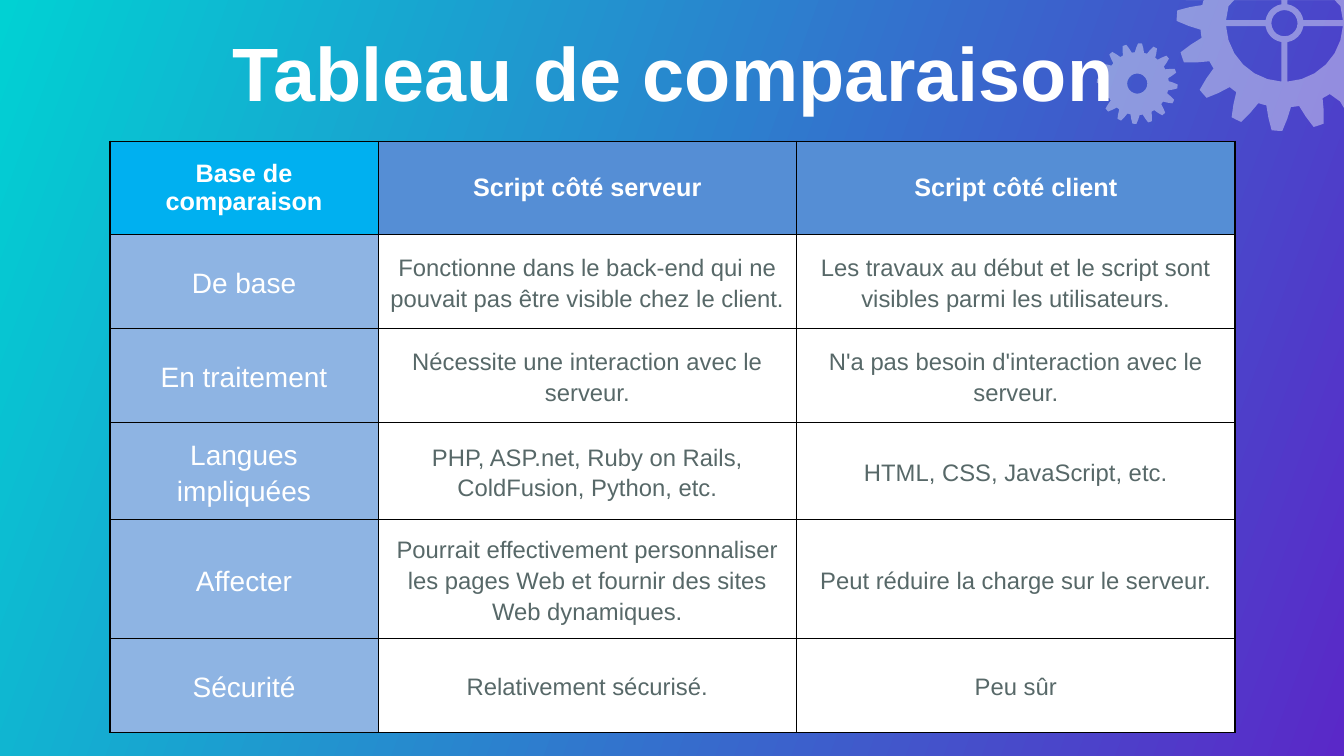
from math import cos, hypot, pi, radians, sin

from lxml import etree
from pptx import Presentation
from pptx.dml.color import RGBColor
from pptx.enum.text import MSO_ANCHOR, PP_ALIGN
from pptx.oxml.ns import qn
from pptx.util import Inches, Pt

COLORS = {
    "gradient_start": "01D1D3",
    "gradient_end": "5A28C8",
    "white": "FFFFFF",
    "border": "000000",
    "corner": "00B0F0",
    "header": "558ED5",
    "criterion": "8EB4E3",
    "body_text": "576868",
}
FONT = "Arial"
SLIDE_WIDTH, SLIDE_HEIGHT = 13.33, 7.5
TEETH = 16
TOOTH_PROFILE = [1, 1, 0.89, 0.78, 0.78, 0.78, 0.89, 1]

COLUMN_WIDTHS = [2.66, 4.15, 4.35]
ROW_HEIGHT = 0.93
COMPARISON = [
    ("Base de comparaison", "Script côté serveur", "Script côté client"),
    ("De base",
     "Fonctionne dans le back-end qui ne pouvait pas être visible chez le client.",
     "Les travaux au début et le script sont visibles parmi les utilisateurs."),
    ("En traitement",
     "Nécessite une interaction avec le serveur.",
     "N'a pas besoin d'interaction avec le serveur."),
    ("Langues impliquées",
     "PHP, ASP.net, Ruby on Rails, ColdFusion, Python, etc.",
     "HTML, CSS, JavaScript, etc."),
    ("Affecter",
     "Pourrait effectivement personnaliser les pages Web et fournir des sites "
     "Web dynamiques.",
     "Peut réduire la charge sur le serveur."),
    ("Sécurité", "Relativement sécurisé.", "Peu sûr"),
]


def rgb(name):
    return RGBColor.from_string(COLORS[name])


def style_paragraph(paragraph, size, color, bold=False):
    paragraph.alignment = PP_ALIGN.CENTER
    for run in paragraph.runs:
        run.font.name = FONT
        run.font.size = Pt(size)
        run.font.bold = bold
        run.font.color.rgb = rgb(color)


def paint_background(slide):
    fill = slide.background.fill
    fill.gradient()
    fill.gradient_angle = 340
    for stop, name in zip(fill.gradient_stops, ("gradient_start", "gradient_end")):
        stop.color.rgb = rgb(name)


# Gear outlines, in inches around the gear centre
def arc(radius, start=0, end=2 * pi, steps=20):
    angles = [start + (end - start) * i / steps for i in range(steps + 1)]
    return [(radius * cos(a), radius * sin(a)) for a in angles]


def toothed_rim(radius, first_tooth=0, last_tooth=TEETH):
    points = []
    steps = len(TOOTH_PROFILE)
    for i in range(first_tooth * steps, last_tooth * steps):
        angle = radians(4) + 2 * pi * i / (TEETH * steps)
        r = radius * TOOTH_PROFILE[i % steps]
        points.append((r * cos(angle), r * sin(angle)))
    return points


def spoke_windows(inner, outer, half_spoke):
    edges = []
    for r in (outer, inner):
        margin = half_spoke / r
        edges.append(arc(r, margin, pi / 2 - margin, 6))
    outline = edges[0] + edges[1][::-1]
    return [[(sx * x, sy * y) for x, y in outline]
            for sx in (-1, 1) for sy in (-1, 1)]


def add_gear(slide, center_x, center_y, outlines):
    """Draw the outlines as one shape, kept within the slide's top and right edges."""
    placed = [[(Inches(min(SLIDE_WIDTH, center_x + x)), Inches(max(0, center_y + y)))
               for x, y in outline] for outline in outlines]
    builder = slide.shapes.build_freeform(*placed[0][0], scale=1.0)
    builder.add_line_segments(placed[0][1:], close=True)
    for hole in placed[1:]:
        builder.move_to(*hole[0])
        builder.add_line_segments(hole[1:], close=True)
    gear = builder.convert_to_shape()
    gear.shadow.inherit = False
    gear.line.fill.background()
    gear.fill.solid()
    gear.fill.fore_color.rgb = rgb("white")
    color = gear._element.spPr.find(qn("a:solidFill"))[0]
    etree.SubElement(color, qn("a:alpha"), val="40000")


def add_gears(slide):
    # The large gear shows its lower left teeth and is closed at the slide corner
    large_rim = toothed_rim(1.07, 1, 9) + [(SLIDE_WIDTH - 12.74, -0.23)]
    add_gear(slide, 12.74, 0.23, [
        large_rim, arc(0.13), *spoke_windows(hypot(0.18, 0.06), 0.58, 0.03)])
    add_gear(slide, 11.28, 0.83, [toothed_rim(0.4), arc(0.1)])


def add_title(slide, left, top, width, height):
    title = slide.shapes.add_textbox(
        Inches(left), Inches(top), Inches(width), Inches(height))
    frame = title.text_frame
    frame.word_wrap = True
    frame.vertical_anchor = MSO_ANCHOR.MIDDLE
    frame.text = "Tableau de comparaison"
    paragraph = frame.paragraphs[0]
    paragraph.line_spacing = 0.9
    style_paragraph(paragraph, 54, "white", bold=True)


def add_borders(cell):
    properties = cell._tc.get_or_add_tcPr()
    for side in ("lnL", "lnR", "lnT", "lnB"):
        line = etree.SubElement(properties, qn(f"a:{side}"), w=str(Pt(1)))
        fill = etree.SubElement(line, qn("a:solidFill"))
        etree.SubElement(fill, qn("a:srgbClr"), val=COLORS["border"])


def fill_cell(cell, text, row, column):
    add_borders(cell)
    cell.vertical_anchor = MSO_ANCHOR.MIDDLE
    cell.text_frame.text = text
    paragraph = cell.text_frame.paragraphs[0]
    if row == 0:
        background = "corner" if column == 0 else "header"
        style_paragraph(paragraph, 18, "white", bold=True)
    else:
        cell.margin_top = cell.margin_bottom = Inches(0.1)
        paragraph.line_spacing = 1.15
        paragraph.space_after = Pt(7.5)
        if column == 0:
            background = "criterion"
            style_paragraph(paragraph, 20, "white")
        else:
            background = "white"
            style_paragraph(paragraph, 17, "body_text")
    cell.fill.solid()
    cell.fill.fore_color.rgb = rgb(background)


def add_comparison(slide, left, top):
    table = slide.shapes.add_table(
        len(COMPARISON), len(COLUMN_WIDTHS), Inches(left), Inches(top),
        Inches(sum(COLUMN_WIDTHS)), Inches(ROW_HEIGHT * len(COMPARISON))).table
    for column, width in zip(table.columns, COLUMN_WIDTHS):
        column.width = Inches(width)
    for r, texts in enumerate(COMPARISON):
        table.rows[r].height = Inches(ROW_HEIGHT)
        for c, text in enumerate(texts):
            fill_cell(table.cell(r, c), text, r, c)


def main():
    presentation = Presentation()
    presentation.slide_width = Inches(SLIDE_WIDTH)
    presentation.slide_height = Inches(SLIDE_HEIGHT)
    slide = presentation.slides.add_slide(presentation.slide_layouts[6])
    paint_background(slide)
    add_gears(slide)
    add_title(slide, 0.35, 0.37, 12.66, 0.79)
    add_comparison(slide, 1.09, 1.4)
    presentation.save("out.pptx")


if __name__ == "__main__":
    main()
